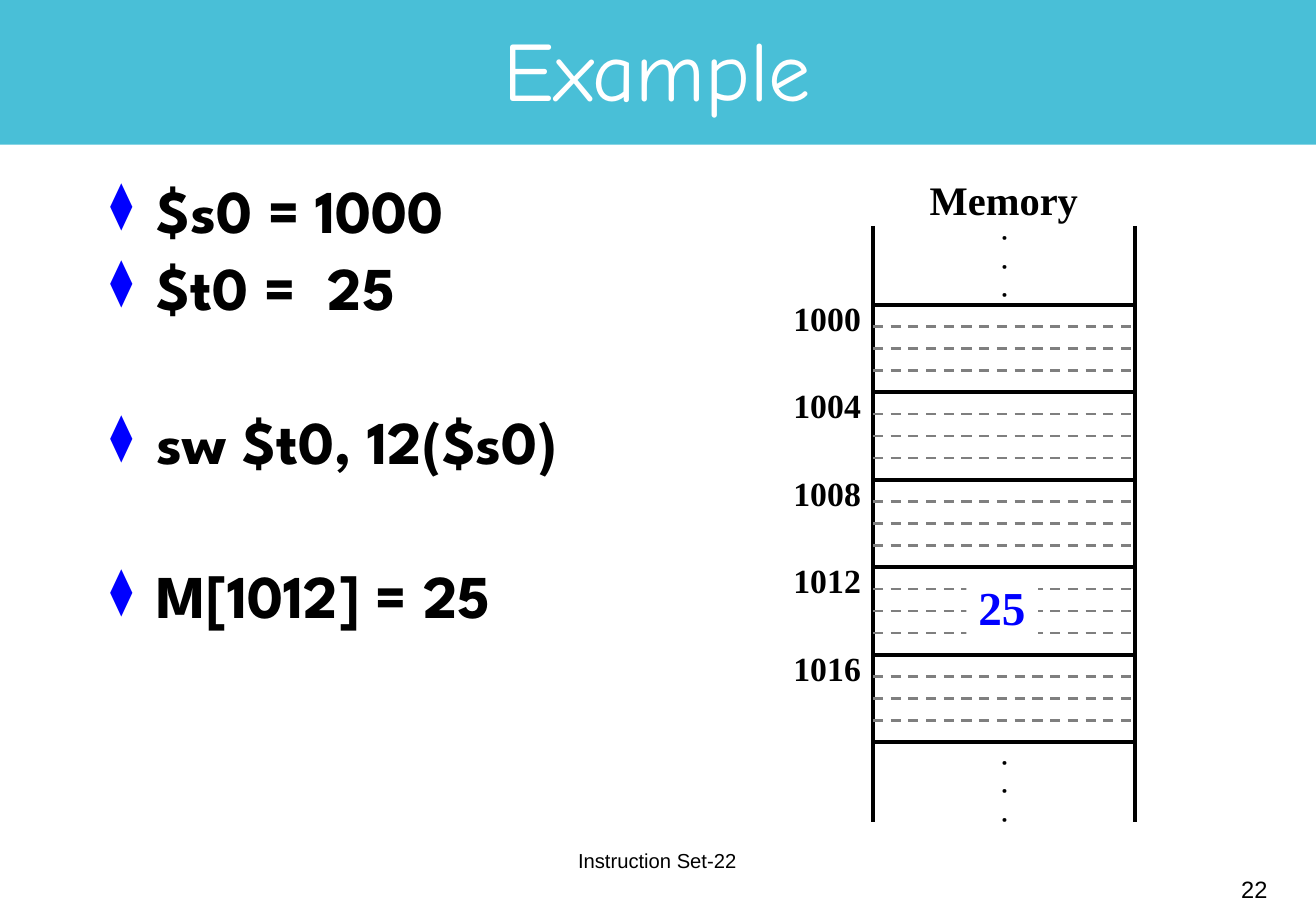
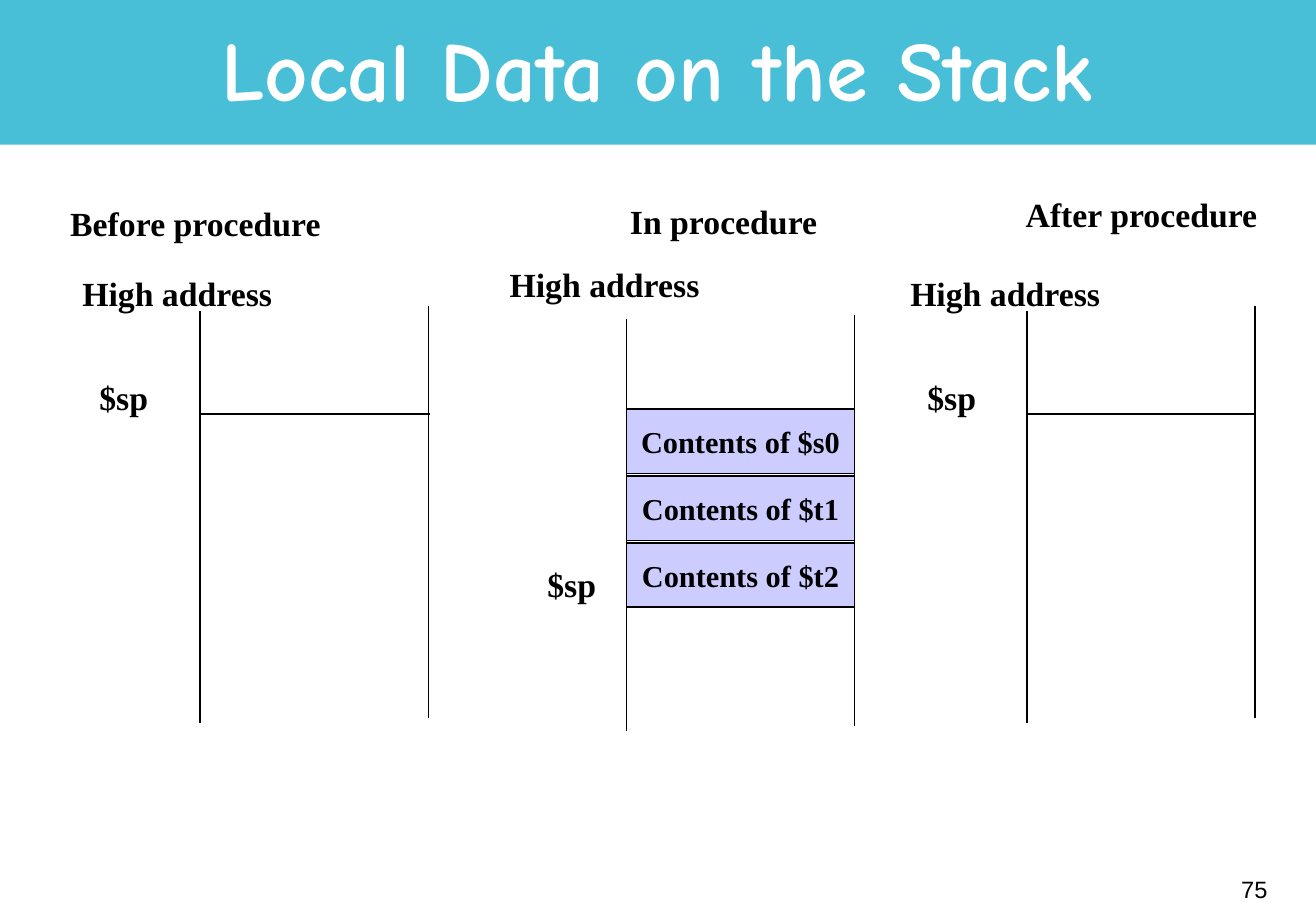
from lxml import etree
from pptx import Presentation, util as u
from pptx.dml.color import RGBColor
from pptx.enum import dml, shapes, text
from pptx.oxml.ns import qn

# Shared style
WIDTH, HEIGHT = 10.84, 7.5
BAND_HEIGHT = 1.19
BAND = RGBColor(0x49, 0xBF, 0xD7)
WHITE = RGBColor(0xFF, 0xFF, 0xFF)
BLACK = RGBColor(0, 0, 0)
BLUE = RGBColor(0, 0, 0xFF)
GREY = RGBColor(0x7F, 0x7F, 0x7F)
LILAC = RGBColor(0xCC, 0xCC, 0xFF)
TITLE_FONT, BODY_FONT, FIGURE_FONT, FOOTER_FONT = (
    "Comic Neue", "League Spartan", "Times New Roman", "Arial")
LEFT, CENTER, RIGHT = (
    text.PP_ALIGN.LEFT, text.PP_ALIGN.CENTER, text.PP_ALIGN.RIGHT)

# Example slide: (text, points before)
LINE_GAP, GROUP_GAP = 6.8, 52.5
EXAMPLE = [
    ("$s0 = 1000", 0),
    ("$t0 =  25", LINE_GAP),
    ("sw $t0, 12($s0)", GROUP_GAP),
    ("M[1012] = 25", GROUP_GAP),
]
ADDRESSES = ["1000", "1004", "1008", "1012", "1016"]
BYTES_PER_WORD = 4
MEMORY_LEFT, MEMORY_WIDTH = 7.19, 2.16
MEMORY_TOP, MEMORY_BOTTOM = 1.86, 6.77
WORD_TOP, WORD_HEIGHT = 2.51, 0.72

# Stack slide: heading and label places are (left, top)
STACK_WIDTH, STACK_HEIGHT = 1.88, 3.39
SLOT_TOP, SLOT_HEIGHT, SLOT_STEP = 3.37, 0.53, 0.55
STACKS = [
    dict(heading="Before procedure", heading_at=(0.48, 1.62), heading_width=2.28,
         left=1.65, top=2.56, high_at=(0.58, 2.2), sp_at=(0.72, 3.05), slots=[]),
    dict(heading="In procedure", heading_at=(5.09, 1.6), heading_width=1.75,
         left=5.16, top=2.63, high_at=(4.1, 2.12), sp_at=(4.41, 4.59),
         slots=["Contents of $s0", "Contents of $t1", "Contents of $t2"]),
    dict(heading="After procedure", heading_at=(8.35, 1.55), heading_width=2.12,
         left=8.46, top=2.56, high_at=(7.4, 2.2), sp_at=(7.54, 3.05), slots=[]),
]


def inches(*lengths):
    return [u.Inches(length) for length in lengths]


def add_rect(page, at, fill, line=None):
    box = page.shapes.add_shape(shapes.MSO_SHAPE.RECTANGLE, *inches(*at))
    box.shadow.inherit = False
    box.fill.solid()
    box.fill.fore_color.rgb = fill
    if line is None:
        box.line.fill.background()
    else:
        box.line.color.rgb = line
        box.line.width = u.Pt(1)
    return box


def add_line(page, start, end, weight=1, color=BLACK, dashed=False):
    line = page.shapes.add_connector(
        shapes.MSO_CONNECTOR.STRAIGHT, *inches(*start, *end))
    line.line.color.rgb = color
    line.line.width = u.Pt(weight)
    if dashed:
        line.line.dash_style = dml.MSO_LINE.DASH
    properties = line.element.find(qn("p:spPr"))
    etree.SubElement(properties, qn("a:effectLst"))


def write(para, words, size, font=FIGURE_FONT, color=BLACK, bold=True, align=LEFT):
    para.alignment = align
    span = para.add_run()
    span.text = words
    span.font.size = u.Pt(size)
    span.font.name = font
    span.font.bold = bold
    span.font.color.rgb = color


def add_text(page, at, lines, size, box=None, middle=False, wrap=False, **style):
    """Write one paragraph per line in a text box, or in the box given."""
    box = box or page.shapes.add_textbox(*inches(*at))
    frame = box.text_frame
    frame.word_wrap = wrap
    frame.vertical_anchor = (
        text.MSO_ANCHOR.MIDDLE if middle else text.MSO_ANCHOR.TOP)
    for number, words in enumerate(lines):
        para = frame.add_paragraph() if number else frame.paragraphs[0]
        write(para, words, size, **style)
    return frame


def add_bullet(para):
    properties = para._p.get_or_add_pPr()
    properties.set("marL", str(u.Inches(0.38)))
    properties.set("indent", str(-u.Inches(0.38)))
    color = etree.SubElement(properties, qn("a:buClr"))
    etree.SubElement(color, qn("a:srgbClr"), val=str(BLUE))
    etree.SubElement(properties, qn("a:buSzPct"), val="75000")
    etree.SubElement(properties, qn("a:buChar"), char="⧫")


def add_page(deck, title, number, bold):
    page = deck.slides.add_slide(deck.slide_layouts[6])
    add_rect(page, (0, 0, WIDTH, BAND_HEIGHT), BAND)
    frame = add_text(page, (0.81, 0.13, 9.21, 0.99), [title], 50, middle=True,
                     wrap=True, font=TITLE_FONT, color=WHITE, bold=bold,
                     align=CENTER)
    frame.paragraphs[0].line_spacing = 0.85
    add_text(page, (8.28, 7.07, 2.26, 0.5), [number], 14, middle=True,
             font=FOOTER_FONT, bold=False, align=RIGHT)
    return page


def draw_memory(page):
    right = MEMORY_LEFT + MEMORY_WIDTH
    for x in (MEMORY_LEFT, right):
        add_line(page, (x, MEMORY_TOP), (x, MEMORY_BOTTOM), 2.25)

    # Solid word borders with dashed byte borders between them
    for row in range(len(ADDRESSES) * BYTES_PER_WORD + 1):
        y = WORD_TOP + row * WORD_HEIGHT / BYTES_PER_WORD
        ends = (MEMORY_LEFT, y), (right, y)
        if row % BYTES_PER_WORD:
            add_line(page, *ends, weight=1.5, color=GREY, dashed=True)
        else:
            add_line(page, *ends, weight=2.25)

    for top in (1.78, 6.1):
        add_text(page, (7.95, top, 0.65, 0.8), ["‧"] * 3, 14, wrap=True,
                 align=CENTER)
    for row, address in enumerate(ADDRESSES):
        add_text(page, (5.89, 2.4 + row * WORD_HEIGHT, 1.3, 0.44), [address],
                 20, wrap=True, align=RIGHT)
    add_text(page, (7.56, 1.39, 1.42, 0.5), ["Memory"], 24)
    value = add_rect(page, (7.96, 4.71, 0.59, 0.57), WHITE)
    add_text(page, None, ["25"], 28, box=value, color=BLUE)


def draw_stack(page, stack):
    left, top = stack["left"], stack["top"]
    right = left + STACK_WIDTH
    add_line(page, (left, top), (left, top + STACK_HEIGHT))
    add_line(page, (right, top - 0.04), (right, top - 0.04 + STACK_HEIGHT))
    if not stack["slots"]:
        add_line(page, (left - 0.01, 3.41), (right + 0.01, 3.41))
    for row, words in enumerate(stack["slots"]):
        slot = add_rect(page, (left, SLOT_TOP + row * SLOT_STEP, STACK_WIDTH,
                               SLOT_HEIGHT), LILAC, BLACK)
        add_text(page, None, [words], 18, box=slot, middle=True, align=CENTER)
    for words, place, width in (
            (stack["heading"], stack["heading_at"], stack["heading_width"]),
            ("High address", stack["high_at"], 1.77),
            ("$sp", stack["sp_at"], 0.6)):
        add_text(page, (*place, width, 0.44), [words], 20)


def build_example(deck):
    page = add_page(deck, "Example", "22", bold=False)
    frame = add_text(page, (0.81, 1.44, 5.2, 5.4), [], 36, wrap=True)
    for number, (words, before) in enumerate(EXAMPLE):
        para = frame.add_paragraph() if number else frame.paragraphs[0]
        add_bullet(para)
        para.line_spacing = 0.9
        if before:
            para.space_before = u.Pt(before)
        write(para, words, 36, font=BODY_FONT)
    draw_memory(page)
    add_text(page, (3.7, 6.83, 3.43, 0.5), ["Instruction Set-22"], 12,
             middle=True, font=FOOTER_FONT, bold=False, align=CENTER)


def build_stacks(deck):
    page = add_page(deck, "Local Data on the Stack", "75", bold=True)
    for stack in STACKS:
        draw_stack(page, stack)


def main():
    deck = Presentation()
    deck.slide_width, deck.slide_height = inches(WIDTH, HEIGHT)
    build_example(deck)
    build_stacks(deck)
    deck.save("out.pptx")


if __name__ == "__main__":
    main()
